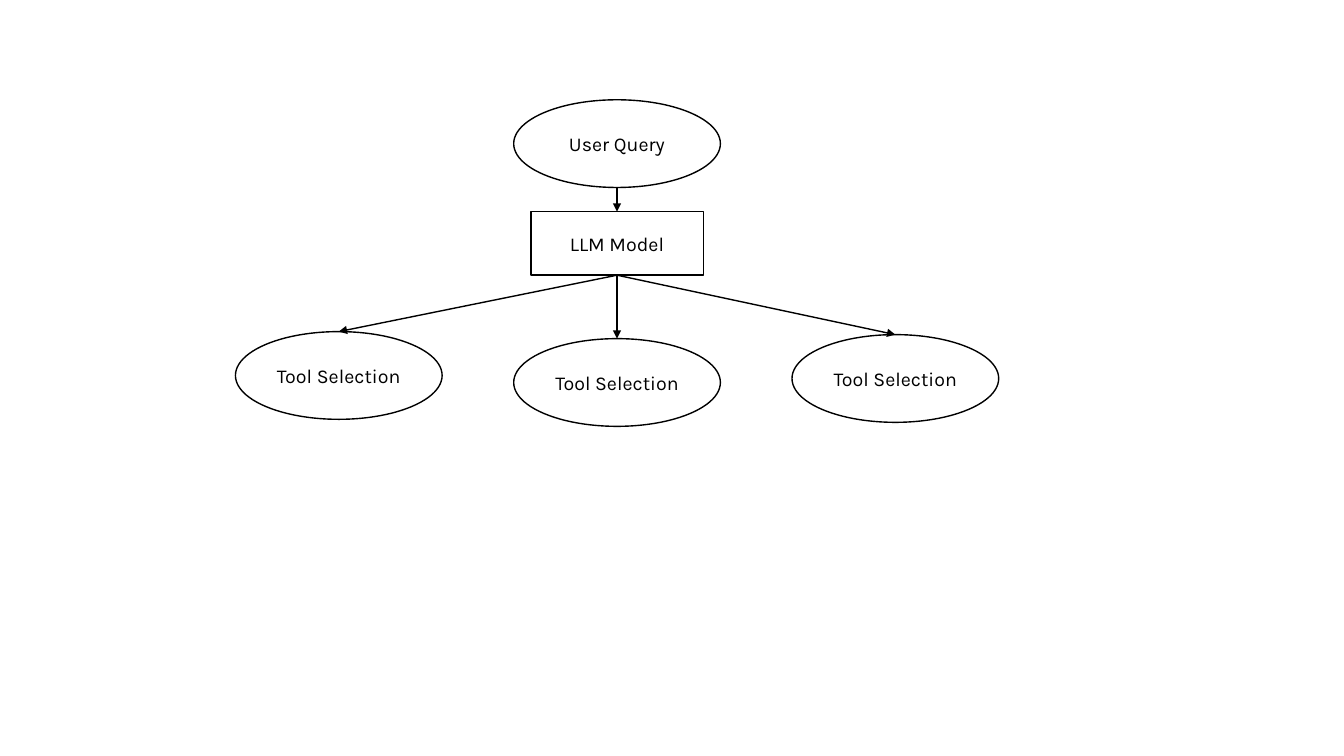
import pptx
import pptx.util
import pptx.dml.color
import pptx.enum.shapes
import pptx.enum.text
import pptx.oxml
import pptx.oxml.ns
from pptx.util import Inches

INK = "000000"
PAPER = "FFFFFF"
CENTER = 6.12
ELLIPSE_SIZE = (2.05, 0.87)
MODEL_SIZE = (1.71, 0.63)
QUERY_TOP = 0.99
MODEL_TOP = 2.1
TOOL_SPACING = 2.76
TOOL_TOPS = {-1: 3.29, 0: 3.36, 1: 3.32}
TOP, BOTTOM = 0, 2


def color(value):
    return pptx.dml.color.RGBColor.from_string(value)


def style_line(line):
    line.color.rgb = color(INK)
    line.width = pptx.util.Pt(1)


def add_node(slide, kind, text, center, top, size):
    width, height = size
    shape = slide.shapes.add_shape(
        kind, Inches(center - width / 2), Inches(top), Inches(width), Inches(height)
    )
    shape.shadow.inherit = False
    shape.fill.solid()
    shape.fill.fore_color.rgb = color(PAPER)
    style_line(shape.line)
    frame = shape.text_frame
    frame.vertical_anchor = pptx.enum.text.MSO_ANCHOR.MIDDLE
    paragraph = frame.paragraphs[0]
    paragraph.text = text
    paragraph.alignment = pptx.enum.text.PP_ALIGN.CENTER
    paragraph.font.name = "Karla"
    paragraph.font.size = pptx.util.Pt(14)
    paragraph.font.color.rgb = color(INK)
    return shape


def add_arrow(slide, source, target):
    middle = source.left + source.width // 2
    bottom = source.top + source.height
    connector = slide.shapes.add_connector(
        pptx.enum.shapes.MSO_CONNECTOR.STRAIGHT, middle, bottom, middle, bottom
    )
    if source.auto_shape_type == pptx.enum.shapes.MSO_SHAPE.RECTANGLE:
        connector.begin_connect(source, BOTTOM)
    connector.end_connect(target, TOP)
    style_line(connector.line)
    tail = pptx.oxml.parse_xml(
        f'<a:tailEnd {pptx.oxml.ns.nsdecls("a")} type="triangle"/>'
    )
    connector.line._get_or_add_ln().append(tail)
    effects = pptx.oxml.parse_xml(f'<a:effectLst {pptx.oxml.ns.nsdecls("a")}/>')
    connector._element.spPr.append(effects)


def main():
    presentation = pptx.Presentation()
    presentation.slide_width = Inches(13.33)
    presentation.slide_height = Inches(7.5)
    slide = presentation.slides.add_slide(presentation.slide_layouts[6])
    ellipse = pptx.enum.shapes.MSO_SHAPE.OVAL
    rectangle = pptx.enum.shapes.MSO_SHAPE.RECTANGLE

    query = add_node(slide, ellipse, "User Query", CENTER, QUERY_TOP, ELLIPSE_SIZE)
    model = add_node(slide, rectangle, "LLM Model", CENTER, MODEL_TOP, MODEL_SIZE)
    add_arrow(slide, query, model)
    for column, top in TOOL_TOPS.items():
        center = CENTER + column * TOOL_SPACING
        tool = add_node(slide, ellipse, "Tool Selection", center, top, ELLIPSE_SIZE)
        add_arrow(slide, model, tool)

    presentation.save("out.pptx")


if __name__ == "__main__":
    main()
